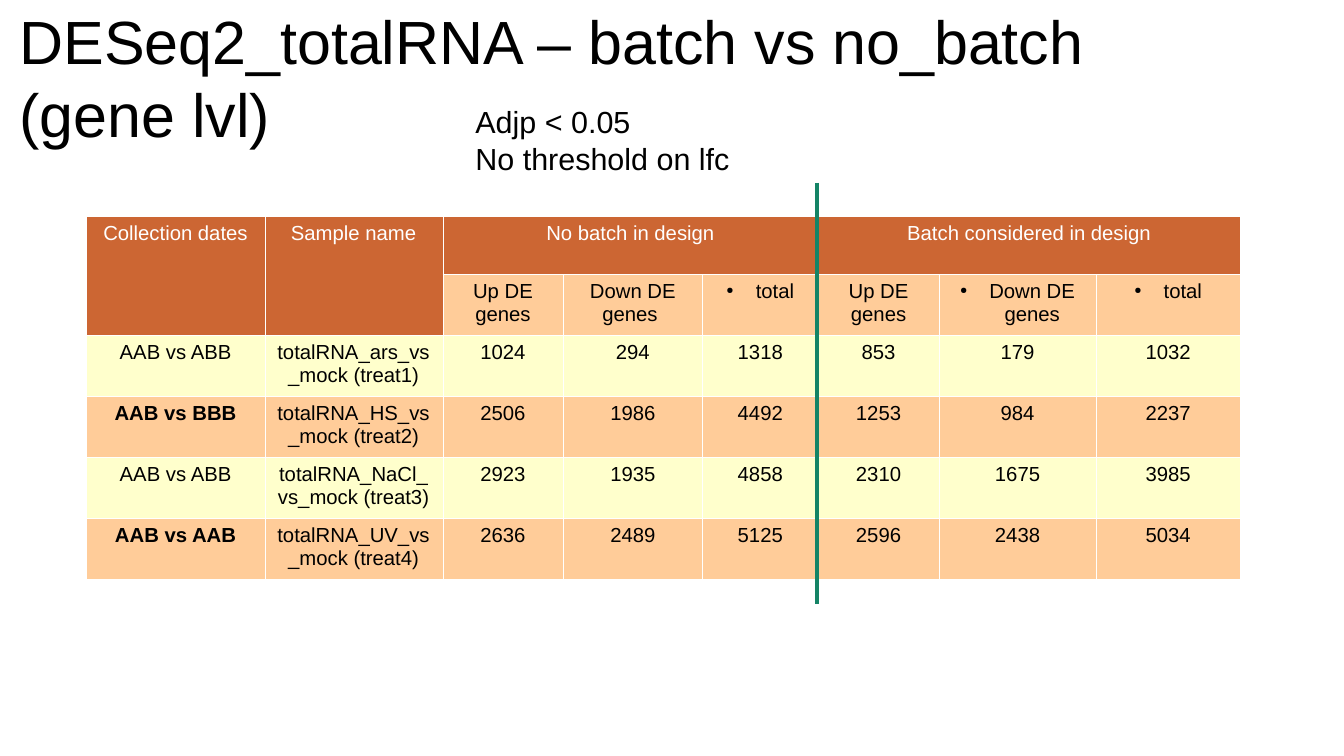
from dataclasses import dataclass

from lxml.etree import SubElement as Sub
from pptx import Presentation as Deck
from pptx.dml.color import RGBColor as Color
from pptx.enum.shapes import MSO_CONNECTOR as Link
from pptx.enum.text import MSO_ANCHOR as Anchor, MSO_AUTO_SIZE as Fit, PP_ALIGN as Align
from pptx.oxml.ns import qn
from pptx.util import Inches, Pt


@dataclass(frozen=True)
class Theme:
    font: str = "Arial"
    ink: str = "000000"
    white: str = "FFFFFF"
    head: str = "CC6633"
    peach: str = "FFCC99"
    cream: str = "FFFFCC"
    green: str = "158466"
    title: int = 36
    note: int = 18
    cell: int = 12
    rule: float = 2.3
    edge: float = 0.06


class Page:
    """Draw styled elements on the current slide."""

    def __init__(self, deck, theme):
        self.theme = theme
        self.slide = deck.slides.add_slide(deck.slide_layouts[5])

    def style(self, frame, size, color, align=Align.LEFT, bold=False):
        for para in frame.paragraphs:
            para.alignment = align
            for run in para.runs:
                font = run.font
                font.name, font.size, font.bold = self.theme.font, Pt(size), bold
                font.color.rgb = Color.from_string(color)

    def title(self, text, *box):
        shape = self.slide.shapes.title
        shape.left, shape.top, shape.width, shape.height = map(Inches, box)
        frame = shape.text_frame
        frame.text = text
        frame.word_wrap, frame.auto_size = True, Fit.NONE
        frame.vertical_anchor = Anchor.MIDDLE
        frame.margin_left = frame.margin_right = 0
        frame.margin_top = frame.margin_bottom = 0
        self.style(frame, self.theme.title, self.theme.ink)

    def note(self, text, *box):
        frame = self.slide.shapes.add_textbox(*map(Inches, box)).text_frame
        frame.text, frame.word_wrap = text, True
        self.style(frame, self.theme.note, self.theme.ink)

    def line(self, *ends):
        line = self.slide.shapes.add_connector(Link.STRAIGHT, *map(Inches, ends))
        line.line.color.rgb = Color.from_string(self.theme.green)
        line.line.width = Pt(self.theme.rule)
        Sub(line._element.spPr, qn("a:effectLst"))

    def bullet(self, para):
        props = para._p.get_or_add_pPr()
        props.set("marL", str(Inches(0.24)))
        props.set("indent", str(-Inches(0.24)))
        tint = Sub(props, qn("a:buClr"))
        Sub(tint, qn("a:srgbClr"), val=self.theme.ink)
        Sub(props, qn("a:buSzPct"), val="45000")
        Sub(props, qn("a:buChar"), char="●")

    def edges(self, cell):
        props = cell._tc.get_or_add_tcPr()
        for spot, side in enumerate(("lnL", "lnR", "lnT", "lnB")):
            edge = Sub(props, qn(f"a:{side}"), w=str(Pt(self.theme.edge)))
            fill = Sub(edge, qn("a:solidFill"))
            Sub(fill, qn("a:srgbClr"), val=self.theme.white)
            props.insert(spot, edge)

    def cell(self, cell, text, fill, color, bold, dot):
        cell.fill.solid()
        cell.fill.fore_color.rgb = Color.from_string(fill)
        self.edges(cell)
        cell.text_frame.text = text
        self.style(cell.text_frame, self.theme.cell, color, Align.CENTER, bold)
        if dot:
            self.bullet(cell.text_frame.paragraphs[0])

    def table(self, rows, left, top, widths, heights, spans, bold, dots):
        theme = self.theme
        box = map(Inches, (left, top, sum(widths), sum(heights)))
        table = self.slide.shapes.add_table(len(rows), len(widths), *box).table
        table.first_row = table.horz_banding = False
        for col, width in zip(table.columns, widths):
            col.width = Inches(width)
        for row, height in zip(table.rows, heights):
            row.height = Inches(height)
        for y, row in enumerate(rows):
            for x, text in enumerate(row):
                head = y == 0 or (y == 1 and x < 2)
                fill = theme.head if head else theme.peach if y % 2 else theme.cream
                color = theme.white if head else theme.ink
                self.cell(table.cell(y, x), text, fill, color,
                          x == 0 and y in bold, (y, x) in dots)
        for start, end in spans:
            table.cell(*start).merge(table.cell(*end))


ROWS = [
    ["Collection dates", "Sample name", "No batch in design", "", "",
     "Batch considered in design", "", ""],
    ["", "", "Up DE genes", "Down DE genes ", "total",
     "Up DE genes", "Down DE genes", "total"],
    ["AAB vs ABB", "totalRNA_ars_vs_mock (treat1)",
     "1024", "294", "1318", "853", "179", "1032"],
    ["AAB vs BBB", "totalRNA_HS_vs_mock (treat2)",
     "2506", "1986", "4492", "1253", "984", "2237"],
    ["AAB vs ABB", "totalRNA_NaCl_vs_mock (treat3)",
     "2923", "1935", "4858", "2310", "1675", "3985"],
    ["AAB vs AAB", "totalRNA_UV_vs_mock (treat4)",
     "2636", "2489", "5125", "2596", "2438", "5034"],
]
WIDTHS = [1.46, 1.46, 0.99, 1.14, 0.95, 0.99, 1.29, 1.18]
HEIGHTS = [0.48] + [0.5] * 5
SPANS = [((0, 0), (1, 0)), ((0, 1), (1, 1)), ((0, 2), (0, 4)), ((0, 5), (0, 7))]


def main():
    deck = Deck()
    deck.slide_width, deck.slide_height = Inches(11.02), Inches(6.2)
    page = Page(deck, Theme())
    page.title("DESeq2_totalRNA – batch vs no_batch\v(gene lvl)", 0.16, 0.07, 8.75, 1.12)
    page.table(ROWS, 0.71, 1.77, WIDTHS, HEIGHTS, SPANS,
               bold={3, 5}, dots={(1, 4), (1, 6), (1, 7)})
    page.line(6.7, 1.5, 6.7, 4.95)
    page.note("Adjp < 0.05\nNo threshold on lfc", 3.8, 0.8, 4.2, 0.66)
    deck.save("out.pptx")


if __name__ == "__main__":
    main()
